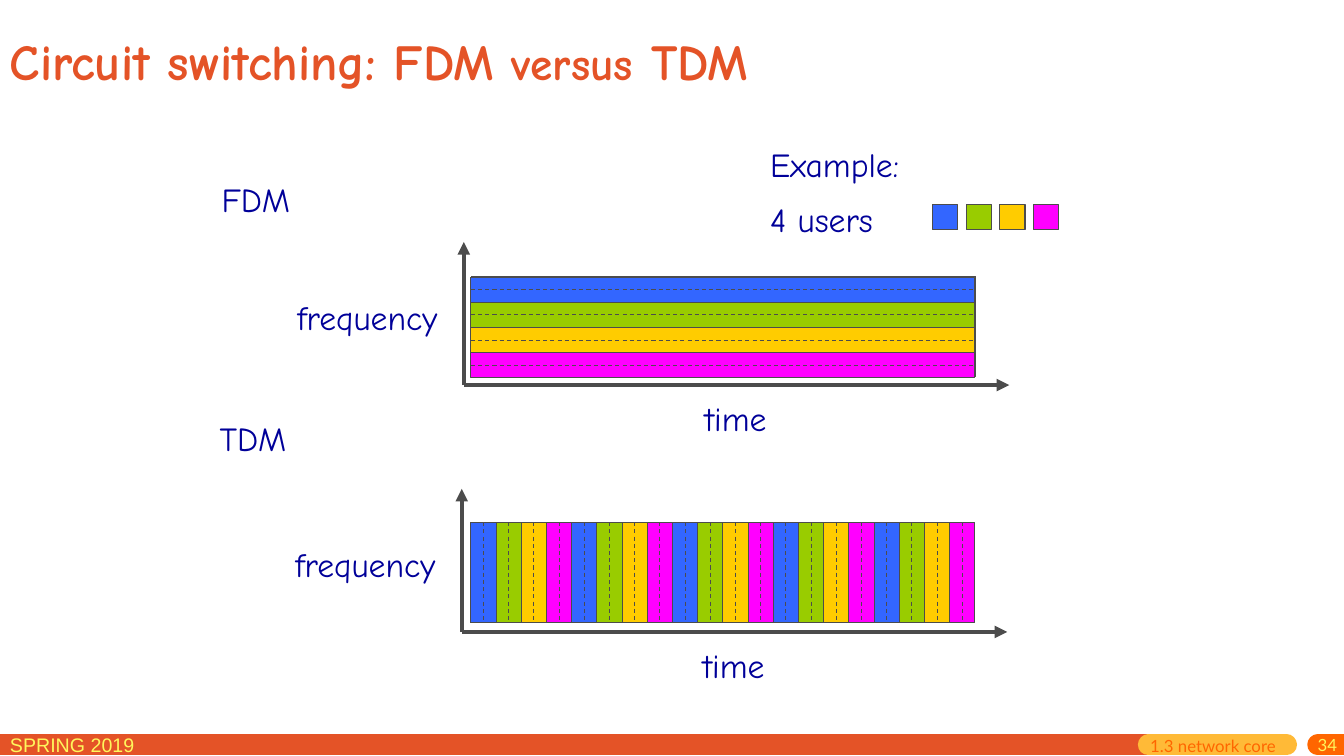
from pptx import Presentation
from pptx.dml.color import RGBColor
from pptx.enum.dml import MSO_LINE
from pptx.enum.shapes import MSO_CONNECTOR, MSO_SHAPE
from pptx.enum.text import MSO_ANCHOR, PP_ALIGN
from pptx.oxml.ns import qn
from pptx.util import Inches, Pt
from lxml import etree

STRAIGHT = MSO_CONNECTOR.STRAIGHT
RECTANGLE = MSO_SHAPE.RECTANGLE
DASH = MSO_LINE.DASH
TOP, MIDDLE = MSO_ANCHOR.TOP, MSO_ANCHOR.MIDDLE
LEFT, RIGHT = PP_ALIGN.LEFT, PP_ALIGN.RIGHT

BRICK = RGBColor(0xE4, 0x53, 0x27)
AMBER = RGBColor(0xFF, 0xBA, 0x37)
ORANGE = RGBColor(0xFF, 0x66, 0x00)
LEMON = RGBColor(0xFF, 0xF6, 0x5C)
NAVY = RGBColor(0x00, 0x00, 0x99)
GREY = RGBColor(0x4C, 0x4C, 0x4C)
USER_COLOURS = [
    RGBColor(0x33, 0x66, 0xFF),
    RGBColor(0x99, 0xCC, 0x00),
    RGBColor(0xFF, 0xCC, 0x00),
    RGBColor(0xFF, 0x00, 0xFF),
]

BAND_LEFT, BAND_LENGTH = 4.67, 5
SLOT = 0.25
FDM_TOP, TDM_TOP = 2.75, 5.18
TDM_HEIGHT = 1
SLOT_COUNT = 20


class SlideBuilder:
    """Holds the style and the slide being drawn."""

    font = "Comic Neue"
    thin = 0.75

    def __init__(self, slide):
        self.slide = slide

    def text(self, spans, left, top, width, height, size=24, font=None,
             colour=NAVY, bold=False, align=LEFT, anchor=TOP, bottom=0.05, upper=0.05):
        """Spans is a string, or a list of (string, size) pairs."""
        box = self.slide.shapes.add_textbox(
            Inches(left), Inches(top), Inches(width), Inches(height))
        frame = box.text_frame
        frame.word_wrap = True
        frame.vertical_anchor = anchor
        frame.margin_top, frame.margin_bottom = Inches(upper), Inches(bottom)
        para = frame.paragraphs[0]
        para.alignment = align
        for words, points in [(spans, size)] if isinstance(spans, str) else spans:
            span = para.add_run()
            span.text = words
            span.font.size = Pt(points)
            span.font.name = font or self.font
            span.font.bold = bold
            span.font.color.rgb = colour

    def line(self, x1, y1, x2, y2, colour=GREY, width=thin, dash=None,
             arrow=False, cap=None):
        connector = self.slide.shapes.add_connector(
            STRAIGHT, Inches(x1), Inches(y1), Inches(x2), Inches(y2))
        connector.line.color.rgb = colour
        connector.line.width = Pt(width)
        if dash:
            connector.line.dash_style = dash
        properties = connector.line._get_or_add_ln()
        if cap:
            properties.set("cap", cap)
        if arrow:
            etree.SubElement(properties, qn("a:tailEnd"), type="triangle")
        etree.SubElement(connector._element.spPr, qn("a:effectLst"))

    def rectangle(self, left, top, width, height, fill):
        shape = self.slide.shapes.add_shape(
            RECTANGLE, Inches(left), Inches(top), Inches(width), Inches(height))
        shape.shadow.inherit = False
        shape.fill.solid()
        shape.fill.fore_color.rgb = fill
        shape.line.color.rgb = GREY
        shape.line.width = Pt(self.thin)

    def axes(self, name, name_top, x, y):
        """Labelled axes with their origin at x, y."""
        self.text(name, x - 2.5, name_top, 0.97, 0.51)
        self.line(x, y, x, y - 1.42, width=3, arrow=True)
        self.text("frequency", x - 1.75, y - 0.92, 1.78, 0.51)
        self.line(x, y, x + 5.41, y, width=3, arrow=True)
        self.text("time", x + 2.29, y + 0.08, 0.9, 0.51)

    def row_line(self, y, dash=None):
        self.line(BAND_LEFT, y, BAND_LEFT + BAND_LENGTH, y, dash=dash)

    def column_line(self, x, dash=None):
        self.line(x, TDM_TOP, x, TDM_TOP + TDM_HEIGHT, dash=dash)


def main():
    deck = Presentation()
    deck.slide_width, deck.slide_height = Inches(13.33), Inches(7.5)
    page = SlideBuilder(deck.slides.add_slide(deck.slide_layouts[6]))

    # Footer
    for start, end, colour, cap in [(0, 11.39, BRICK, "flat"),
                                    (11.39, 12.76, AMBER, "rnd"),
                                    (13.07, 13.33, ORANGE, "rnd")]:
        page.line(start, 7.39, end, 7.39, colour=colour, width=15, cap=cap)
    page.text("SPRING 2019", 0, 7.22, 2.29, 0.31, size=14, font="Arial", colour=LEMON)
    page.text("34", 12.97, 7.29, 0.39, 0.24, size=12, font="Lato", colour=LEMON,
              align=RIGHT, anchor=MIDDLE, upper=0)
    page.text("1.3 network core", 11.31, 7.29, 1.51, 0.21, size=12, font="Lato",
              colour=ORANGE, anchor=MIDDLE)

    # Title
    page.text([("Circuit switching: FDM ", 36), ("versus", 32.4), (" TDM", 36)],
              0, 0.08, 9.26, 1.04, colour=BRICK, bold=True, anchor=MIDDLE)

    # FDM: one frequency band per user
    page.axes("FDM", 1.73, 4.6, 3.82)
    page.rectangle(4.68, 2.74, BAND_LENGTH, 1, BRICK)
    for index, colour in enumerate(USER_COLOURS):
        top = FDM_TOP + index * SLOT
        page.rectangle(BAND_LEFT, top, BAND_LENGTH, SLOT, colour)
        if index:
            page.row_line(top)
        page.row_line(top + SLOT / 2, dash=DASH)

    # TDM: time slots taken in turn
    page.axes("TDM", 4.1, 4.58, 6.27)
    page.rectangle(BAND_LEFT, TDM_TOP, BAND_LENGTH, TDM_HEIGHT, BRICK)
    for index in range(SLOT_COUNT):
        left = BAND_LEFT + index * SLOT
        colour = USER_COLOURS[index % len(USER_COLOURS)]
        page.rectangle(left, TDM_TOP, SLOT, TDM_HEIGHT, colour)
        if index:
            page.column_line(left)
        page.column_line(left + SLOT / 2, dash=DASH)

    # Key
    page.text("Example:", 7.54, 1.38, 1.59, 0.5)
    page.text("4 users", 7.54, 1.92, 1.35, 0.51)
    for index, colour in enumerate(USER_COLOURS):
        page.rectangle(9.25 + index / 3, 2.03, SLOT, SLOT, colour)

    deck.save("out.pptx")


if __name__ == "__main__":
    main()
